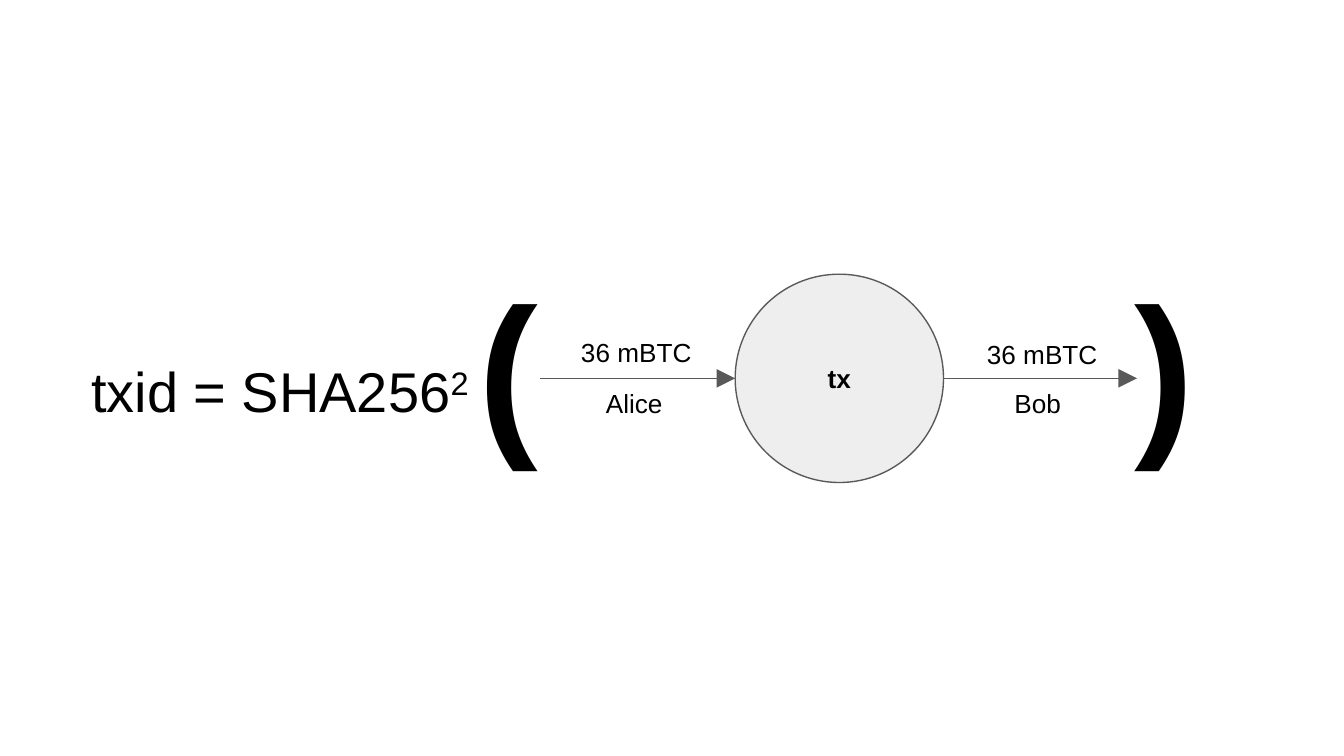
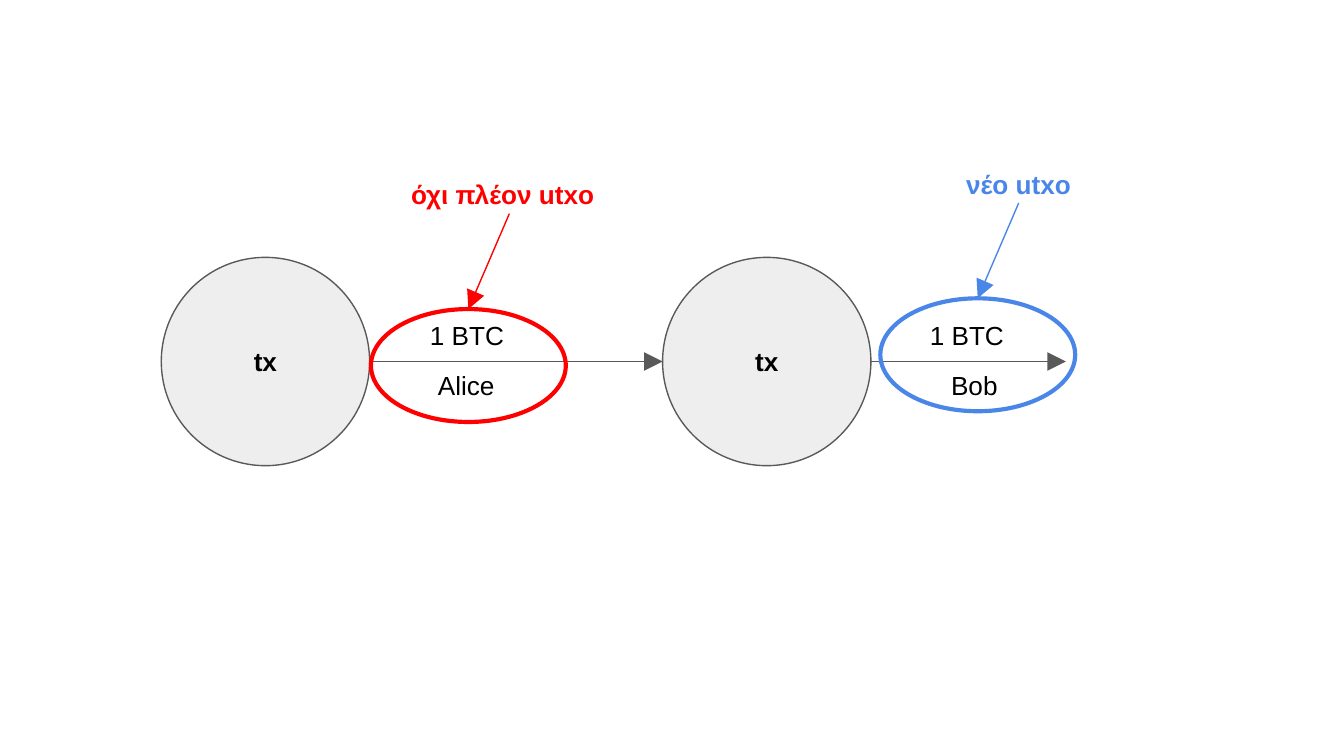
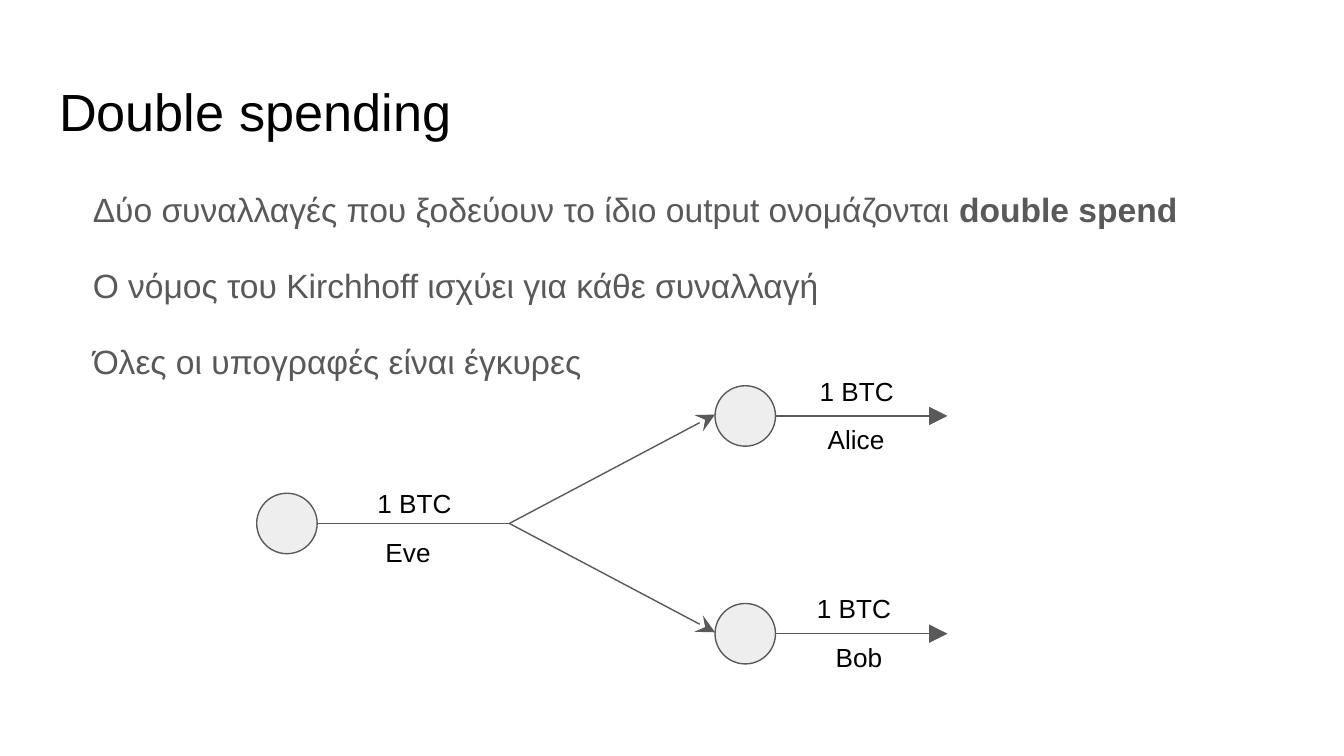
import collections
import dataclasses

import lxml.etree
import pptx
import pptx.dml.color
import pptx.enum.shapes
import pptx.enum.text
import pptx.oxml.ns
import pptx.util

Box = collections.namedtuple("Box", "x y w h")
ALIGN = pptx.enum.text.PP_ALIGN
ANCHOR = pptx.enum.text.MSO_ANCHOR
COLS, ROWS = 100, 56.25
CELL = pptx.util.Inches(0.1)


@dataclasses.dataclass(frozen=True)
class Theme:
    """Colours, type sizes and line widths of the deck."""
    font: str = "Arial"
    ink: str = "000000"
    gray: str = "595959"
    node: str = "EEEEEE"
    spent: str = "FF0000"
    fresh: str = "4A86E8"
    label: int = 14
    body: int = 18
    title: int = 28
    formula: int = 30
    paren: int = 96
    thin: float = 0.75
    thick: float = 2.25


T = Theme()


def cells(*values):
    """Turn grid cells into slide lengths."""
    return [round(v * CELL) for v in values]


def rgb(color):
    """Return the colour object of a hex string."""
    return pptx.dml.color.RGBColor.from_string(color)


def apply(target, formats):
    """Set each attribute named in formats."""
    for name, value in formats.items():
        setattr(target, name, value)


def add_xml(parent, tag, **attrs):
    """Append a drawing element to parent."""
    return lxml.etree.SubElement(parent, pptx.oxml.ns.qn(tag), attrs)


def add_run(p, text, size, color=T.ink, bold=False):
    """Add a formatted run to a paragraph."""
    r = p.add_run()
    r.text = text
    apply(r.font, {"name": T.font, "size": pptx.util.Pt(size), "bold": bold})
    r.font.color.rgb = rgb(color)
    return r


def set_frame(tf, anchor=ANCHOR.TOP):
    """Give a text frame the shared margins, wrapping and anchor."""
    margin = pptx.util.Inches(0.1)
    apply(tf, {"margin_left": margin, "margin_right": margin,
               "margin_top": margin, "margin_bottom": margin,
               "word_wrap": True, "vertical_anchor": anchor,
               "auto_size": pptx.enum.text.MSO_AUTO_SIZE.NONE})


def add_text(s, box, text, size=T.label, color=T.ink, bold=False,
             align=ALIGN.LEFT, anchor=ANCHOR.TOP):
    """Add a one-line text box and return its paragraph."""
    tf = s.shapes.add_textbox(*cells(*box)).text_frame
    set_frame(tf, anchor)
    p = tf.paragraphs[0]
    p.alignment = align
    add_run(p, text, size, color, bold)
    return p


def add_ellipse(s, box, color=T.gray, width=T.thin, fill=None):
    """Add an outlined ellipse, filled when a fill is given."""
    sp = s.shapes.add_shape(pptx.enum.shapes.MSO_SHAPE.OVAL, *cells(*box))
    sp.shadow.inherit = False
    sp.line.color.rgb = rgb(color)
    sp.line.width = pptx.util.Pt(width)
    if fill:
        sp.fill.solid()
        sp.fill.fore_color.rgb = rgb(fill)
    else:
        sp.fill.background()
    return sp


def add_node(s, box, text=""):
    """Add a transaction circle, with its name if it has one."""
    tf = add_ellipse(s, box, fill=T.node).text_frame
    if text:
        set_frame(tf, ANCHOR.MIDDLE)
        p = tf.paragraphs[0]
        p.alignment = ALIGN.CENTER
        add_run(p, text, T.label, bold=True)


def add_line(s, start, end, color=T.gray, head="triangle"):
    """Add a straight line with an optional large arrowhead at its end."""
    kind = pptx.enum.shapes.MSO_CONNECTOR.STRAIGHT
    c = s.shapes.add_connector(kind, *cells(*start, *end))
    c.line.color.rgb = rgb(color)
    c.line.width = pptx.util.Pt(T.thin)
    if head:
        add_xml(c.line._get_or_add_ln(), "a:tailEnd", type=head, w="lg",
                len="lg")
    add_xml(c._element.spPr, "a:effectLst")


def add_flow(s, box, amount, owner, rise=4.1, amount_dx=0.3, owner_dx=3.9,
             owner_align=ALIGN.LEFT, head="triangle"):
    """Add a money flow: amount above the line, owner below it."""
    y = box.y + rise
    add_line(s, (box.x, y), (box.x + box.w, y), head=head)
    add_text(s, Box(box.x + amount_dx, box.y, 13.7, 4.5), amount,
             align=ALIGN.CENTER)
    add_text(s, Box(box.x + owner_dx, box.y + box.h - 4.5, 7.6, 4.5), owner,
             align=owner_align)


def add_callout(s, box, text, color, text_dx):
    """Ring an output and point to it from a caption above."""
    add_ellipse(s, box, color, T.thick)
    add_line(s, (box.x + 10.3, box.y - 7.1), (box.x + box.w / 2, box.y), color)
    add_text(s, Box(box.x + text_dx, box.y - 10.7, 20.1, 6.1), text,
             color=color, bold=True)


def add_formula(s, box):
    """Add the hash formula and the parentheses around its argument."""
    p = add_text(s, Box(box.x, box.y, 32.8, box.h), "txid = SHA256",
                 T.formula, anchor=ANCHOR.MIDDLE)
    power = add_run(p, "2", T.formula)
    power.font._element.set("baseline", "30000")
    p = add_text(s, Box(box.x + 28.8, box.y + 5.4, 56.6, 20.3), "(\t)",
                 T.paren, bold=True)
    tabs = add_xml(p._p.get_or_add_pPr(), "a:tabLst")
    add_xml(tabs, "a:tab", pos=str(pptx.util.Inches(4.88)), algn="l")


def place_placeholder(sp, box):
    """Move a placeholder to a box and return its text frame."""
    apply(sp, dict(zip(("left", "top", "width", "height"), cells(*box))))
    set_frame(sp.text_frame)
    return sp.text_frame


def fill_title(s, box, text):
    """Write the slide title."""
    p = place_placeholder(s.shapes.title, box).paragraphs[0]
    p.alignment = ALIGN.LEFT
    add_run(p, text, T.title)


def fill_body(s, box, lines):
    """Write the body lines, each a list of (text, bold) pairs."""
    tf = place_placeholder(s.placeholders[1], box)
    for i, line in enumerate(lines):
        p = tf.add_paragraph() if i else tf.paragraphs[0]
        apply(p, {"line_spacing": 1.15, "space_before": pptx.util.Pt(0),
                  "space_after": pptx.util.Pt(16), "alignment": ALIGN.LEFT})
        pPr = p._p.get_or_add_pPr()
        pPr.set("marL", str(pptx.util.Inches(0.5)))
        pPr.set("indent", str(pptx.util.Inches(-0.25)))
        add_xml(pPr, "a:buNone")
        for text, bold in line:
            add_run(p, text, T.body, T.gray, bold)


def add_fork(s, box, node):
    """Draw one output spent by two transactions, one at the top, one below."""
    source = Box(box.x, box.y + 8, node, node)
    start = box.x + node
    split = (start + 14.3, box.y + 10.25)
    far = box.x + 34.1
    add_node(s, source)
    add_flow(s, Box(start, box.y + 6.6, 14.4, 8.1), "1 BTC", "Eve", rise=3.65,
             amount_dx=0.4, owner_dx=4.1, head=None)
    spends = [("Alice", box.y, -0.8, 2.9), ("Bob", box.y + 16.2, -1, 3.5)]
    for owner, top, amount_dx, owner_dx in spends:
        add_line(s, split, (far, top + node / 2 - 0.1), head="stealth")
        add_node(s, Box(far, top, node, node))
        add_flow(s, Box(far + node, top - 1.8, 12.8, 8.1), "1 BTC", owner,
                 rise=4.05, amount_dx=amount_dx, owner_dx=owner_dx)


def build_txid(s):
    """Build the slide that defines the transaction id."""
    add_node(s, Box(54.7, 20.4, 15.5, 15.5), "tx")
    add_flow(s, Box(40.2, 24, 14.5, 8.3), "36 mBTC", "Alice", rise=4.15)
    add_flow(s, Box(70.2, 24.2, 14.4, 8.1), "36 mBTC", "Bob", rise=3.95,
             amount_dx=0.5, owner_dx=4.3)
    add_formula(s, Box(5.8, 12.6, 85.4, 32.8))


def build_utxo(s):
    """Build the slide that compares a spent and a new output."""
    add_flow(s, Box(27.6, 22.8, 21.7, 8.2), "1 BTC", "Alice", owner_dx=4)
    add_flow(s, Box(64.8, 22.8, 14.5, 8.2), "1 BTC", "Bob",
             owner_align=ALIGN.CENTER)
    for x in (12, 49.3):
        add_node(s, Box(x, 19.15, 15.5, 15.5), "tx")
    add_callout(s, Box(27.6, 23, 14.5, 8.4), "όχι πλέον utxo", T.spent, 2)
    add_callout(s, Box(65.5, 22.2, 14.5, 8.4), "νέο utxo", T.fresh, 5.4)


def build_double_spend(s):
    """Build the slide on double spending."""
    fill_title(s, Box(3.4, 4.9, 93.2, 6.3), "Double spending")
    fill_body(s, Box(3.4, 12.6, 93.2, 12.8), [
        [("Δύο συναλλαγές που ξοδεύουν το ίδιο output ονομάζονται ", False),
         ("double spend", True)],
        [("Ο νόμος του Kirchhoff ισχύει για κάθε συναλλαγή", False)],
        [("Όλες οι υπογραφές είναι έγκυρες", False)],
    ])
    add_fork(s, Box(19.1, 28.7, 51.4, 22.5), 4.5)


def main():
    """Build the deck and save it."""
    prs = pptx.Presentation()
    prs.slide_width, prs.slide_height = cells(COLS, ROWS)
    blank, content = prs.slide_layouts[6], prs.slide_layouts[1]
    for build, layout in ((build_txid, blank), (build_utxo, blank),
                          (build_double_spend, content)):
        build(prs.slides.add_slide(layout))
    prs.save("out.pptx")


if __name__ == "__main__":
    main()
